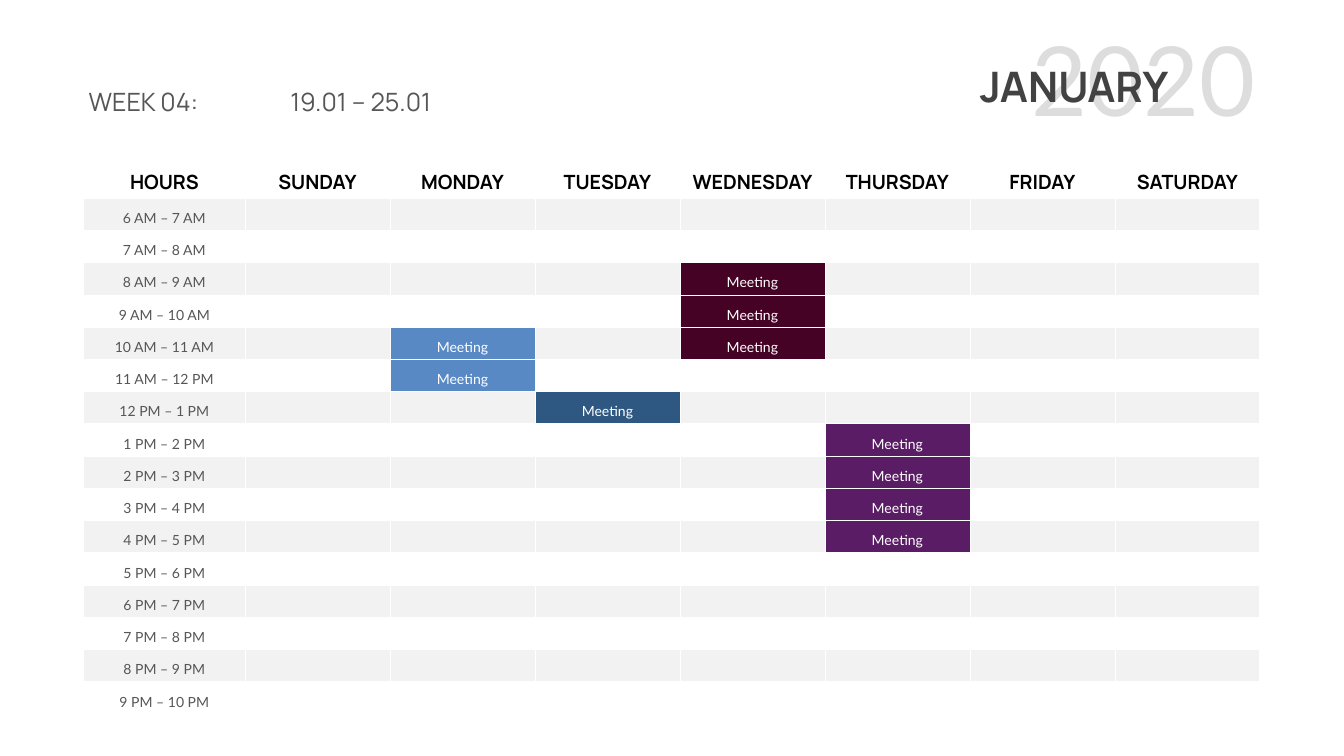
"""Build a weekly planner slide with an hourly table and coloured meetings."""
from lxml.etree import SubElement
from pptx import Presentation
from pptx.dml.color import RGBColor
from pptx.enum.text import MSO_ANCHOR, PP_ALIGN
from pptx.oxml.ns import qn
from pptx.util import Inches, Pt


def color(value):
    return RGBColor.from_string(value)


def add_run(p, text, size, font, value, bold=False):
    r = p.add_run()
    r.text = text
    r.font.size = Pt(size)
    r.font.name = font
    r.font.bold = bold
    r.font.color.rgb = color(value)
    return r


prs = Presentation()
prs.slide_width, prs.slide_height = Inches(26.66), Inches(15)
s = prs.slides.add_slide(prs.slide_layouts[6])

left, top, width = 1.66, 3.28, 23.33
hours_w, header_h, row_h = 3.2, 0.65, 0.64
days = ["SUNDAY", "MONDAY", "TUESDAY", "WEDNESDAY", "THURSDAY", "FRIDAY", "SATURDAY"]
day_w = (width - hours_w) / len(days)
first_hour, last_hour = 6, 22
hours = range(first_hour, last_hour)
meetings = [
    ("MONDAY", 10, 12, "5889C5"),
    ("TUESDAY", 12, 13, "2E5882"),
    ("WEDNESDAY", 8, 11, "460224"),
    ("THURSDAY", 13, 17, "5A1C64"),
]
booked = {
    (hour, days.index(day) + 1): fill
    for day, start, end, fill in meetings
    for hour in range(start, end)
}
clock = {h: f"{(h - 1) % 12 + 1} {'AM' if h < 12 else 'PM'}" for h in range(first_hour, last_hour + 1)}

frame = s.shapes.add_table(
    len(hours) + 1, len(days) + 1, Inches(left), Inches(top),
    Inches(width), Inches(header_h + row_h * len(hours)),
)
table = frame.table
table.first_row = table.horz_banding = False
for i, column in enumerate(table.columns):
    column.width = Inches(day_w if i else hours_w)
for i, row in enumerate(table.rows):
    row.height = Inches(row_h if i else header_h)

for col, title in enumerate(["HOURS"] + days):
    cell = table.cell(0, col)
    cell.fill.background()
    cell.vertical_anchor = MSO_ANCHOR.BOTTOM
    p = cell.text_frame.paragraphs[0]
    p.alignment = PP_ALIGN.CENTER
    add_run(p, title, 28, "Manrope", "000000", True)

for row, hour in enumerate(hours, 1):
    for col in range(len(days) + 1):
        cell = table.cell(row, col)
        fill = booked.get((hour, col), "F2F2F2" if row % 2 else None)
        if fill:
            cell.fill.solid()
            cell.fill.fore_color.rgb = color(fill)
        else:
            cell.fill.background()
        p = cell.text_frame.paragraphs[0]
        p.alignment = PP_ALIGN.CENTER
        p.line_spacing = Pt(37)
        if col == 0:
            add_run(p, f"{clock[hour]} – {clock[hour + 1]}", 20, "Lato", "565656")
        elif (hour, col) in booked:
            add_run(p, "Meeting", 20, "Lato", "FFFFFF")

headings = [
    ("2020", 20.31, 0.34, 4.69, 2.42, 138, "Lato", "565656", False, PP_ALIGN.RIGHT),
    ("JANUARY", 19.17, 1.16, 4.27, 1.11, 60, "Manrope", "424242", True, PP_ALIGN.CENTER),
    ("WEEK 04: \t19.01 – 25.01", left, 1.65, 7.14, 0.71, 36, "Manrope", "565656", False, PP_ALIGN.LEFT),
]
for text, x, y, w, h, size, font, value, bold, align in headings:
    sp = s.shapes.add_textbox(Inches(x), Inches(y), Inches(w), Inches(h))
    tf = sp.text_frame
    tf.word_wrap = True
    p = tf.paragraphs[0]
    p.alignment = align
    r = add_run(p, text, size, font, value, bold)
    if text == "2020":
        tint = r.font.fill._xPr.find(qn("a:solidFill"))[0]
        SubElement(tint, qn("a:alpha")).set("val", "20000")
    if "\t" in text:
        tf.vertical_anchor = MSO_ANCHOR.MIDDLE
        tabs = SubElement(p._p.get_or_add_pPr(), qn("a:tabLst"))
        SubElement(tabs, qn("a:tab"), pos=str(Inches(4)), algn="l")

prs.save("out.pptx")
